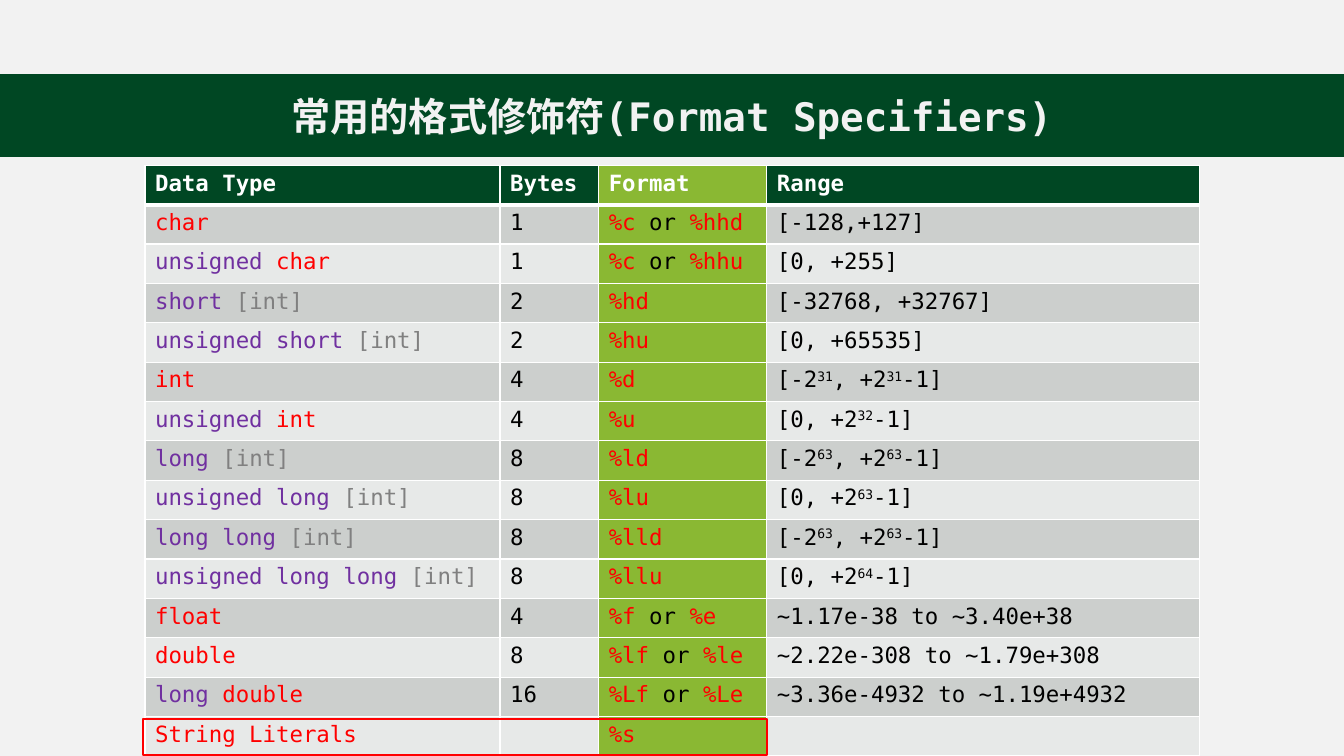
from itertools import groupby

from lxml import etree
from pptx import Presentation
from pptx.dml.color import RGBColor
from pptx.enum.shapes import MSO_SHAPE
from pptx.enum.text import MSO_ANCHOR, PP_ALIGN
from pptx.oxml.ns import qn
from pptx.util import Pt

RECTANGLE = MSO_SHAPE.RECTANGLE
MIDDLE = MSO_ANCHOR.MIDDLE
CENTER = PP_ALIGN.CENTER
TITLE_ONLY = 5

FONT = "DejaVu Sans Mono"
PAPER, WHITE, BLACK = "F2F2F2", "FFFFFF", "000000"
GREEN, LIME = "004723", "8AB833"
RED, PURPLE, GREY = "FF0000", "7030A0", "808080"
BANDS = ("CCCFCD", "E7E9E8")

COLUMN_WIDTHS = (253.6, 70.5, 120.1, 309)
ROW_HEIGHT = 28.13
FORMAT_COLUMN = 2
WORD_COLORS = {"unsigned": PURPLE, "short": PURPLE, "long": PURPLE, "[int]": GREY}

HEADINGS = ("Data Type", "Bytes", "Format", "Range")
# Exponents stand between carets
DATA_TYPES = (
    ("char", "1", "%c or %hhd", "[-128,+127]"),
    ("unsigned char", "1", "%c or %hhu", "[0, +255]"),
    ("short [int]", "2", "%hd", "[-32768, +32767]"),
    ("unsigned short [int]", "2", "%hu", "[0, +65535]"),
    ("int", "4", "%d", "[-2^31^, +2^31^-1]"),
    ("unsigned int", "4", "%u", "[0, +2^32^-1]"),
    ("long [int]", "8", "%ld", "[-2^63^, +2^63^-1]"),
    ("unsigned long [int]", "8", "%lu", "[0, +2^63^-1]"),
    ("long long [int]", "8", "%lld", "[-2^63^, +2^63^-1]"),
    ("unsigned long long [int]", "8", "%llu", "[0, +2^64^-1]"),
    ("float", "4", "%f or %e", "~1.17e-38 to ~3.40e+38"),
    ("double", "8", "%lf or %le", "~2.22e-308 to ~1.79e+308"),
    ("long double", "16", "%Lf or %Le", "~3.36e-4932 to ~1.19e+4932"),
    ("String Literals", "", "%s", ""),
)


def rgb(color):
    return RGBColor.from_string(color)


def paint(fill, color):
    fill.solid()
    fill.fore_color.rgb = rgb(color)


def add_text(paragraph, text, color, size=16, bold=False, raised=False):
    run = paragraph.add_run()
    run.text = text
    for name, value in {"name": FONT, "size": Pt(size), "bold": bold}.items():
        setattr(run.font, name, value)
    run.font.color.rgb = rgb(color)
    if raised:
        run._r.get_or_add_rPr().set("baseline", "30000")


def add_title(slide, text):
    title = slide.shapes.title
    place = {"left": 0, "top": 53.3, "width": 960, "height": 58.3}
    for name, value in place.items():
        setattr(title, name, Pt(value))
    paint(title.fill, GREEN)
    title.line.color.rgb = rgb(GREEN)
    title.line.width = Pt(1)
    title.text_frame.vertical_anchor = MIDDLE
    heading = title.text_frame.paragraphs[0]
    heading.alignment = CENTER
    add_text(heading, text, PAPER, size=28, bold=True)


def color_words(text):
    """Join neighbouring words that share a colour, spaces included."""
    words = [word + " " for word in text.split(" ")]
    words[-1] = words[-1].rstrip()
    groups = groupby(words, lambda word: WORD_COLORS.get(word.strip(), RED))
    return [("".join(group), color, False) for color, group in groups]


def cell_pieces(column, text):
    """Split a body cell into (text, colour, raised) pieces."""
    if not text:
        return []
    if column == 0:
        return color_words(text)
    if column == FORMAT_COLUMN:
        first, joiner, second = text.partition(" or ")
        pieces = ((first, RED, False), (joiner, BLACK, False), (second, RED, False))
        return [piece for piece in pieces if piece[0]]
    return [(part, BLACK, i % 2 == 1) for i, part in enumerate(text.split("^"))]


def add_borders(cell, widths):
    properties = cell._tc.get_or_add_tcPr()
    for side, width in widths.items():
        edge = etree.SubElement(properties, qn("a:ln" + side), w=str(Pt(width)))
        fill = etree.SubElement(edge, qn("a:solidFill"))
        etree.SubElement(fill, qn("a:srgbClr"), val=WHITE)


def fill_cell(cell, row, column, text):
    add_borders(cell, {"L": 1, "R": 1, "T": 3 if row == 1 else 1, "B": 3 if row == 0 else 1})
    base = GREEN if row == 0 else BANDS[(row - 1) % 2]
    paint(cell.fill, LIME if column == FORMAT_COLUMN else base)

    paragraph = cell.text_frame.paragraphs[0]
    if row == 0:
        add_text(paragraph, text, WHITE, bold=True)
    else:
        for part, color, raised in cell_pieces(column, text):
            add_text(paragraph, part, color, raised=raised)
    # Keeps rows with empty cells at their set height
    etree.SubElement(paragraph._p, qn("a:endParaRPr"), sz="1600")


def add_type_table(slide):
    rows = (HEADINGS,) + DATA_TYPES
    table = slide.shapes.add_table(
        len(rows), len(HEADINGS), Pt(103.6), Pt(118.1),
        Pt(sum(COLUMN_WIDTHS)), Pt(ROW_HEIGHT * len(rows))).table
    for column, width in zip(table.columns, COLUMN_WIDTHS):
        column.width = Pt(width)
    for r, texts in enumerate(rows):
        table.rows[r].height = Pt(ROW_HEIGHT)
        for c, text in enumerate(texts):
            fill_cell(table.cell(r, c), r, c, text)


def add_highlight(slide, left, top, width, height):
    highlight = slide.shapes.add_shape(RECTANGLE, Pt(left), Pt(top), Pt(width), Pt(height))
    highlight.shadow.inherit = False
    highlight.fill.background()
    highlight.line.color.rgb = rgb(RED)
    highlight.line.width = Pt(1.5)


def main():
    deck = Presentation()
    deck.slide_width, deck.slide_height = Pt(960), Pt(540)
    slide = deck.slides.add_slide(deck.slide_layouts[TITLE_ONLY])
    paint(slide.background.fill, PAPER)

    add_title(slide, "常用的格式修饰符(Format Specifiers)")
    add_type_table(slide)
    # Frame around the string row
    add_highlight(slide, 102.2, 513.4, 445.7, 25.9)

    deck.save("out.pptx")


if __name__ == "__main__":
    main()
